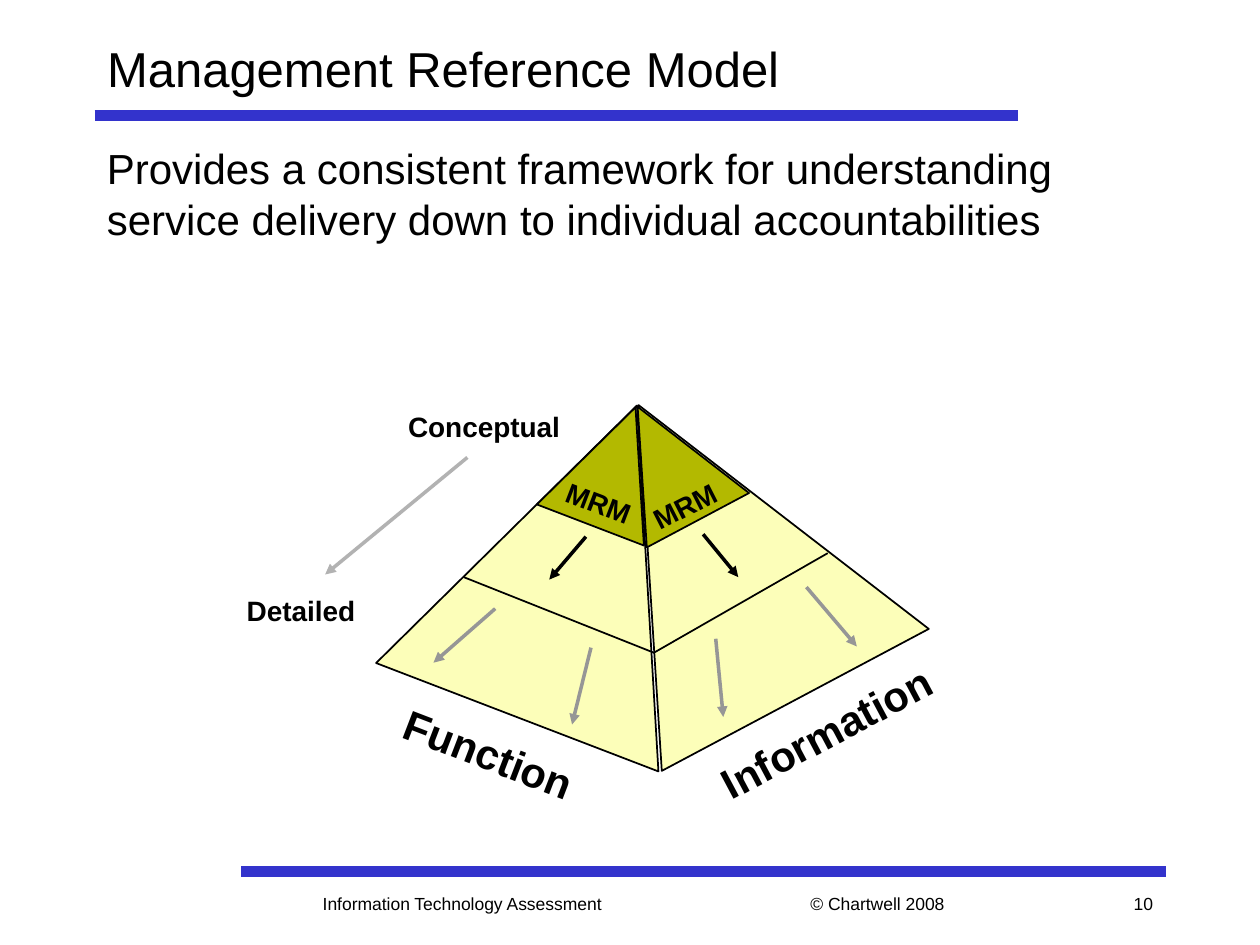
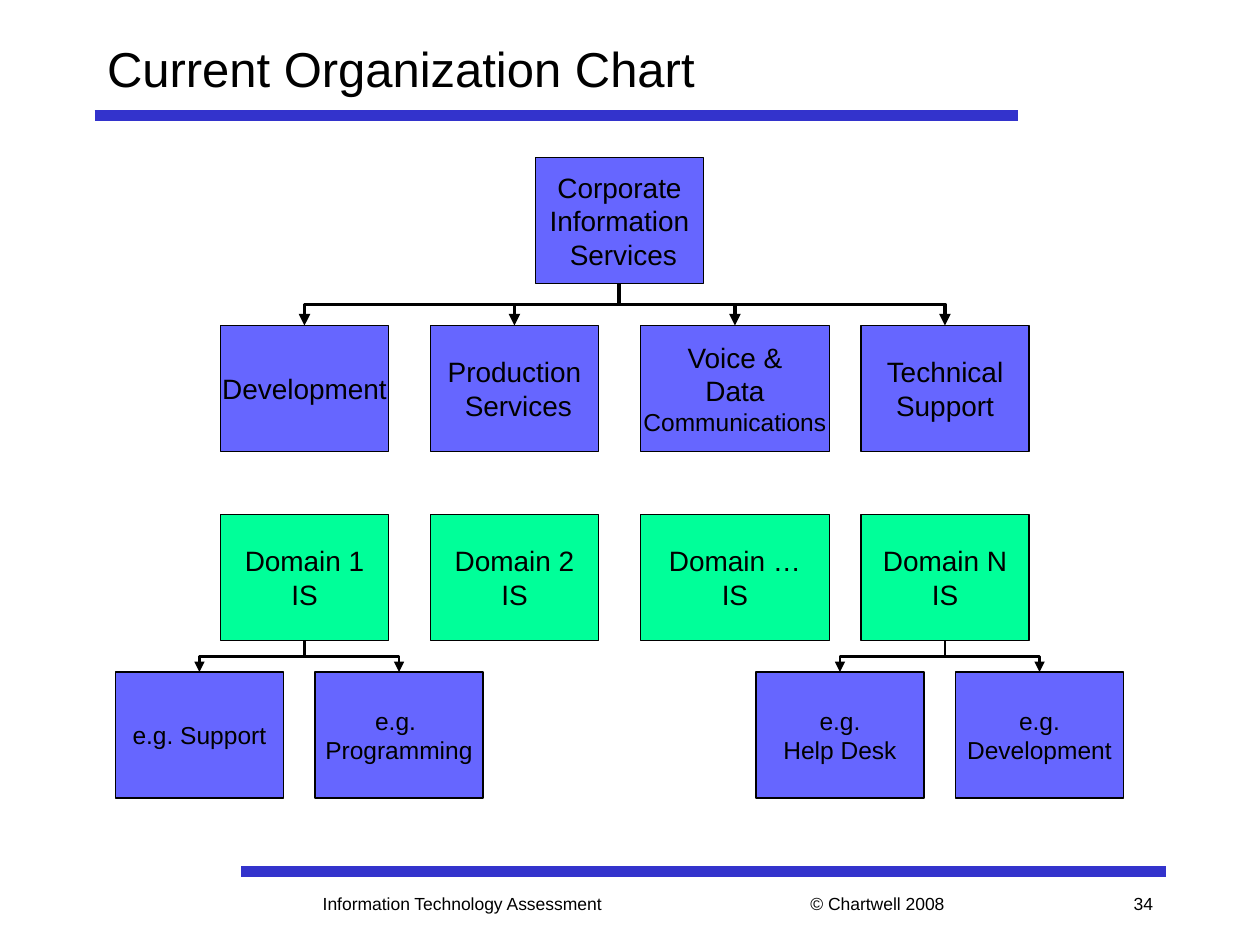
from dataclasses import dataclass

from lxml.etree import SubElement as Sub
from pptx import Presentation
from pptx.dml.color import RGBColor as Rgb
from pptx.enum.dml import MSO_LINE
from pptx.enum.shapes import MSO_CONNECTOR as Link, MSO_SHAPE as Form
from pptx.enum.text import MSO_ANCHOR as Anchor, MSO_AUTO_SIZE as Fit, PP_ALIGN as Align
from pptx.oxml.ns import qn
from pptx.util import Pt


@dataclass(frozen=True)
class Theme:
    font: str = "Arial"
    ink: Rgb = Rgb(0, 0, 0)
    band: Rgb = Rgb(0x33, 0x33, 0xCC)
    unit: Rgb = Rgb(0x66, 0x66, 0xFF)
    domain: Rgb = Rgb(0x00, 0xFF, 0x99)
    base: Rgb = Rgb(0xFC, 0xFE, 0xB9)
    peak: Rgb = Rgb(0xB3, 0xB9, 0x00)
    dim: Rgb = Rgb(0x96, 0x96, 0x96)
    pale: Rgb = Rgb(0xB2, 0xB2, 0xB2)
    title: int = 28
    body: int = 24
    label: int = 16
    small: int = 14
    foot: int = 10


theme = Theme()


def write(shape, text, size, align=Align.LEFT, anchor=Anchor.MIDDLE, wrap=False, bold=False):
    frame = shape.text_frame
    frame.text = text
    frame.word_wrap = wrap
    frame.vertical_anchor = anchor
    for para in frame.paragraphs:
        para.alignment = align
        para.font.name = theme.font
        para.font.size = Pt(size)
        para.font.bold = bold
        para.font.color.rgb = theme.ink


def draw(pool, ends, tone, width, tip=True, kind=Link.STRAIGHT):
    line = pool.add_connector(kind, *map(Pt, ends))
    line.line.color.rgb = tone
    line.line.width = Pt(width)
    if tip:
        Sub(line.line._get_or_add_ln(), qn("a:tailEnd"), type="triangle")
    Sub(line._element.spPr, qn("a:effectLst"))
    return line


deck = Presentation()
deck.slide_width, deck.slide_height = Pt(720), Pt(540)

pages = []
for name, number in (("Management Reference Model", "10"), ("Current Organization Chart", "34")):
    slide = deck.slides.add_slide(deck.slide_layouts[5])
    pool = slide.shapes
    pages.append(pool)
    title = pool.title
    title.left, title.top, title.width, title.height = map(Pt, (54, 18, 612, 42))
    write(title, name, theme.title, wrap=True)
    for left, top in ((54, 66), (138, 498)):
        draw(pool, (left, top, left + 528, top), theme.band, 6, tip=False)
    for text, left, width, align in (
        ("© Chartwell 2008", 456, 96, Align.LEFT),
        ("Information Technology Assessment", 150, 228, Align.CENTER),
        (number, 588, 78, Align.RIGHT),
    ):
        foot = pool.add_textbox(Pt(left), Pt(504), Pt(width), Pt(24))
        write(foot, text, theme.foot, align)

model, chart = pages

group = model.add_group_shape().shapes
for left, top, width, height, turn, tone in (
    (243.4, 225.4, 172.8, 190.8, 21, theme.base),
    (323.3, 220.3, 172.8, 190.8, 332, theme.base),
    (317.5, 230.4, 65.5, 72, 21, theme.peak),
    (348.5, 228.2, 66.2, 73.4, 332, theme.peak),
):
    face = group.add_shape(Form.ISOSCELES_TRIANGLE, *map(Pt, (left, top, width, height)))
    face.rotation = turn
    face.shadow.inherit = False
    face.fill.solid()
    face.fill.fore_color.rgb = tone
    face.line.color.rgb = theme.ink
    face.line.width = Pt(1)

path = group.build_freeform(Pt(265), Pt(329.8))
path.add_line_segments([(Pt(373.7), Pt(373)), (Pt(473), Pt(316.1))], close=False)
tier = path.convert_to_shape()
tier.shadow.inherit = False
tier.fill.background()
tier.line.color.rgb = theme.ink
tier.line.width = Pt(1)

for tone, *ends in (
    (theme.ink, 334.8, 306.7, 313.9, 331.2),
    (theme.ink, 401.8, 305.3, 421.9, 329.8),
    (theme.dim, 283, 347.8, 247.7, 378.7),
    (theme.dim, 337.7, 370.1, 326.9, 414),
    (theme.dim, 409, 365, 413.3, 409.7),
    (theme.dim, 460.8, 335.5, 489.6, 369.4),
    (theme.pale, 267.1, 261.4, 185.8, 328.3),
):
    draw(group, ends, tone, 2)

for text, left, top, width, height, turn, size in (
    ("Function", 221.8, 412.6, 115.9, 36, 21, theme.body),
    ("Information", 398.9, 400.3, 146.2, 36, 332, theme.body),
    ("Conceptual", 226.1, 230.4, 101.5, 25.9, 0, theme.label),
    ("Detailed", 133.9, 335.5, 76.3, 25.9, 0, theme.label),
    ("MRM", 365, 275.8, 52.6, 25.9, 333, theme.label),
    ("MRM", 316.1, 274.3, 52.6, 25.9, 21, theme.label),
):
    label = group.add_textbox(*map(Pt, (left, top, width, height)))
    label.rotation = turn
    write(label, text, size, anchor=Anchor.TOP, bold=True)
    label.text_frame.auto_size = Fit.SHAPE_TO_FIT_TEXT

body = model.add_textbox(Pt(54), Pt(78), Pt(612), Pt(414))
props = body.text_frame.paragraphs[0]._p.get_or_add_pPr()
props.set("marL", str(Pt(27)))
props.set("indent", str(Pt(-27)))
Sub(props, qn("a:buChar"), char="•")
write(
    body,
    "Provides a consistent framework for understanding service delivery down to individual accountabilities",
    theme.body, anchor=Anchor.TOP, wrap=True,
)

boxes = {}
for key, text, left, top, width, tone, size in (
    ("root", "Corporate\nInformation\n Services", 306, 90, 96, theme.unit, theme.label),
    ("dev", "Development", 126, 186, 96, theme.unit, theme.label),
    ("prod", "Production\n Services", 246, 186, 96, theme.unit, theme.label),
    ("voice", "Voice &\nData\nCommunications", 366, 186, 108, theme.unit, theme.label),
    ("tech", "Technical\nSupport", 492, 186, 96, theme.unit, theme.label),
    ("first", "Domain 1\nIS", 126, 294, 96, theme.domain, theme.label),
    ("second", "Domain 2\nIS", 246, 294, 96, theme.domain, theme.label),
    ("more", "Domain …\nIS", 366, 294, 108, theme.domain, theme.label),
    ("last", "Domain N\nIS", 492, 294, 96, theme.domain, theme.label),
    ("help", "e.g. Support", 66, 384, 96, theme.unit, theme.small),
    ("code", "e.g. \nProgramming", 180, 384, 96, theme.unit, theme.small),
    ("desk", "e.g.\nHelp Desk", 432, 384, 96, theme.unit, theme.small),
    ("build", "e.g.\nDevelopment", 546, 384, 96, theme.unit, theme.small),
):
    box = chart.add_shape(Form.RECTANGLE, Pt(left), Pt(top), Pt(width), Pt(72))
    box.shadow.inherit = False
    box.fill.solid()
    box.fill.fore_color.rgb = tone
    box.line.color.rgb = theme.ink
    box.line.width = Pt(1)
    write(box, text, size, Align.CENTER)
    boxes[key] = box
boxes["voice"].text_frame.paragraphs[2].font.size = Pt(theme.small)

for head, parts, width in (
    ("root", ("dev", "prod", "voice", "tech"), 2.25),
    ("first", ("help", "code"), 1.5),
    ("last", ("desk", "build"), 1.5),
):
    for part in parts:
        line = draw(chart, (0, 0, 0, 0), theme.ink, width, kind=Link.ELBOW)
        line.begin_connect(boxes[head], 2)
        line.end_connect(boxes[part], 0)
        start, stop, top, low = line.begin_x, line.end_x, line.begin_y, line.end_y
        span, drop = abs(stop - start), low - top
        line.left = (start + stop - drop) // 2
        line.top = (top + low - span) // 2
        line.width, line.height = drop, span
        frame = line._element.spPr.xfrm
        frame.rot = 270 if stop > start else 90
        frame.flipH, frame.flipV = stop > start, False

deck.save("out.pptx")
